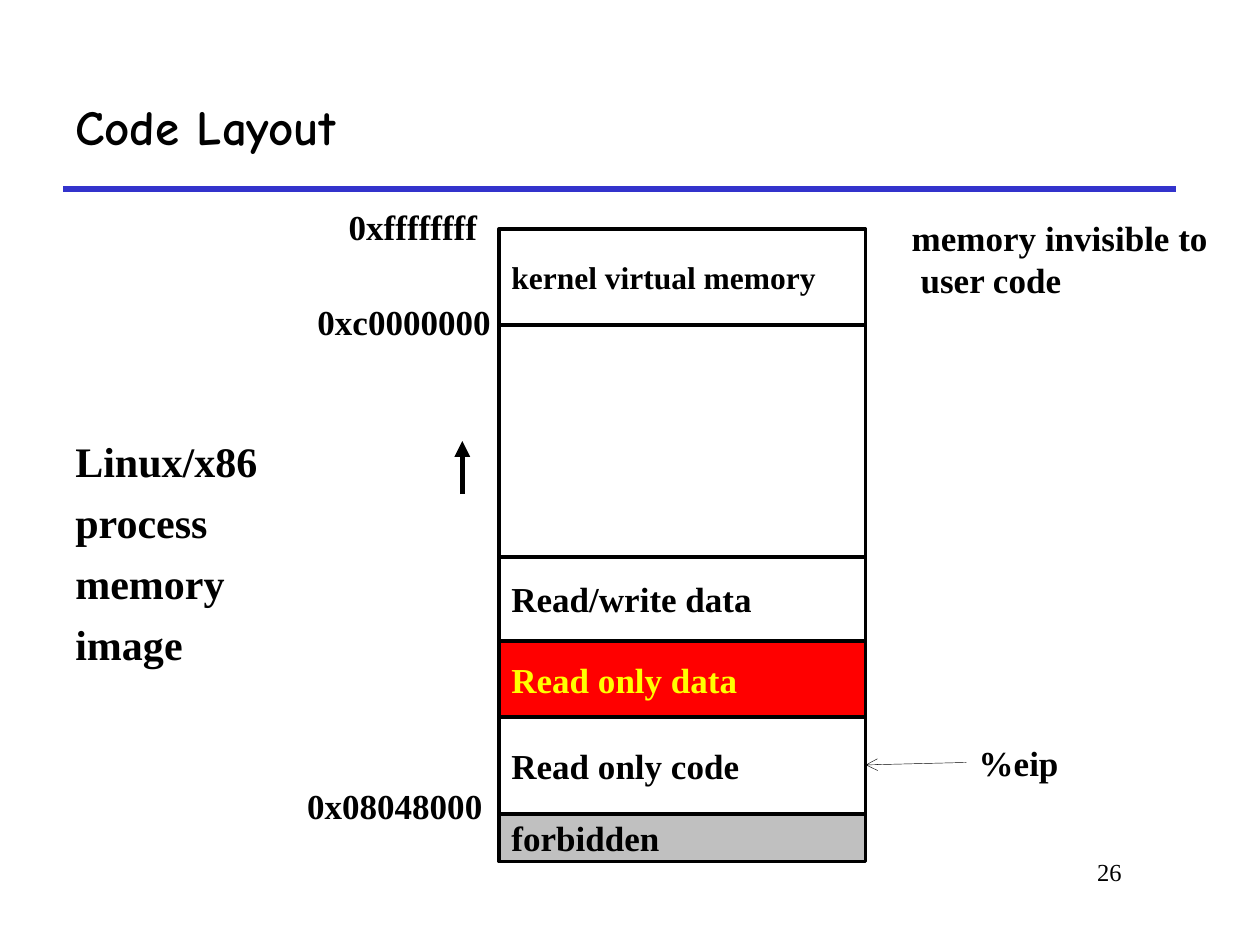
from lxml.etree import SubElement
from pptx import Presentation
from pptx.dml.color import RGBColor
from pptx.enum.shapes import MSO_CONNECTOR as Connector, MSO_SHAPE as Shape
from pptx.enum.text import MSO_ANCHOR as Anchor, PP_ALIGN as Align
from pptx.oxml.ns import qn
from pptx.util import Cm, Pt


def color(value):
    return RGBColor.from_string(value)


def write(frame, text, size, ink="000000", font="Times New Roman", bold=True):
    frame.text = text
    for paragraph in frame.paragraphs:
        paragraph.alignment = Align.LEFT
        paragraph.font.size = Pt(size)
        paragraph.font.name = font
        paragraph.font.bold = bold
        paragraph.font.color.rgb = color(ink)


deck = Presentation()
deck.slide_width, deck.slide_height = Cm(25.4), Cm(19.05)
slide = deck.slides.add_slide(deck.slide_layouts[6])
shapes = slide.shapes

lines = [
    (1.27, 3.81, 23.7, 3.81, "3333CC", 3, None),
    (19.48, 15.37, 17.45, 15.42, "000000", 0.25, "arrow"),
    (9.32, 9.96, 9.32, 8.89, "000000", 3, "triangle"),
]
for x1, y1, x2, y2, ink, weight, head in lines:
    line = shapes.add_connector(Connector.STRAIGHT, Cm(x1), Cm(y1), Cm(x2), Cm(y2))
    line.line.color.rgb = color(ink)
    line.line.width = Pt(weight)
    if head:
        SubElement(line.line._get_or_add_ln(), qn("a:tailEnd"), type=head)
    SubElement(line._element.spPr, qn("a:effectLst"))

title = shapes.add_textbox(Cm(1.27), Cm(1.27), Cm(22.43), Cm(2.54)).text_frame
title.word_wrap = True
title.vertical_anchor = Anchor.MIDDLE
write(title, "Code Layout", 28, font="Comic Neue")

page_number = shapes.add_textbox(Cm(19.25), Cm(17.15), Cm(3.61), Cm(1.27)).text_frame
page_number.word_wrap = True
write(page_number, "26", 14, bold=False)
page_number.paragraphs[0].alignment = Align.RIGHT

regions = [
    ("kernel virtual memory", 18, 1.93, "FFFFFF", "000000"),
    ("", 20, 4.68, "FFFFFF", "000000"),
    ("Read/write data", 20, 1.69, "FFFFFF", "000000"),
    ("Read only data", 20, 1.54, "FF0000", "FFFF00"),
    ("Read only code", 20, 1.95, "FFFFFF", "000000"),
    ("forbidden", 20, 0.96, "C0C0C0", "000000"),
]
top = 4.62
for text, size, height, fill, ink in regions:
    region = shapes.add_shape(Shape.RECTANGLE, Cm(10.06), Cm(top), Cm(7.39), Cm(height))
    region.shadow.inherit = False
    region.fill.solid()
    region.fill.fore_color.rgb = color(fill)
    region.line.color.rgb = color("000000")
    region.line.width = Pt(2)
    if text:
        region.text_frame.vertical_anchor = Anchor.MIDDLE
        write(region.text_frame, text, size, ink)
    top += height

labels = [
    ("0xffffffff", 6.78, 4.02, 3.2),
    ("0xc0000000", 6.15, 5.94, 4.2),
    ("0x08048000", 5.94, 15.7, 4.2),
    ("%eip", 19.48, 14.83, 2.2),
]
for text, left, top, width in labels:
    label = shapes.add_textbox(Cm(left), Cm(top), Cm(width), Cm(1.12)).text_frame
    label.word_wrap = True
    write(label, text, 20)

kernel_note = shapes.add_textbox(Cm(18.13), Cm(4.24), Cm(6.6), Cm(1.96)).text_frame
kernel_note.word_wrap = True
write(kernel_note, "memory invisible to\nuser code", 20)
kernel_note.paragraphs[1]._p.get_or_add_pPr().set("marL", str(Cm(0.18)))

caption = shapes.add_textbox(Cm(1.27), Cm(8.76), Cm(4.3), Cm(4.85)).text_frame
caption.word_wrap = True
write(caption, "Linux/x86\nprocess\nmemory\nimage", 24)
for paragraph in caption.paragraphs:
    paragraph.line_spacing = 0.9
for paragraph in caption.paragraphs[1:]:
    paragraph.space_before = Pt(9)

deck.save("out.pptx")
